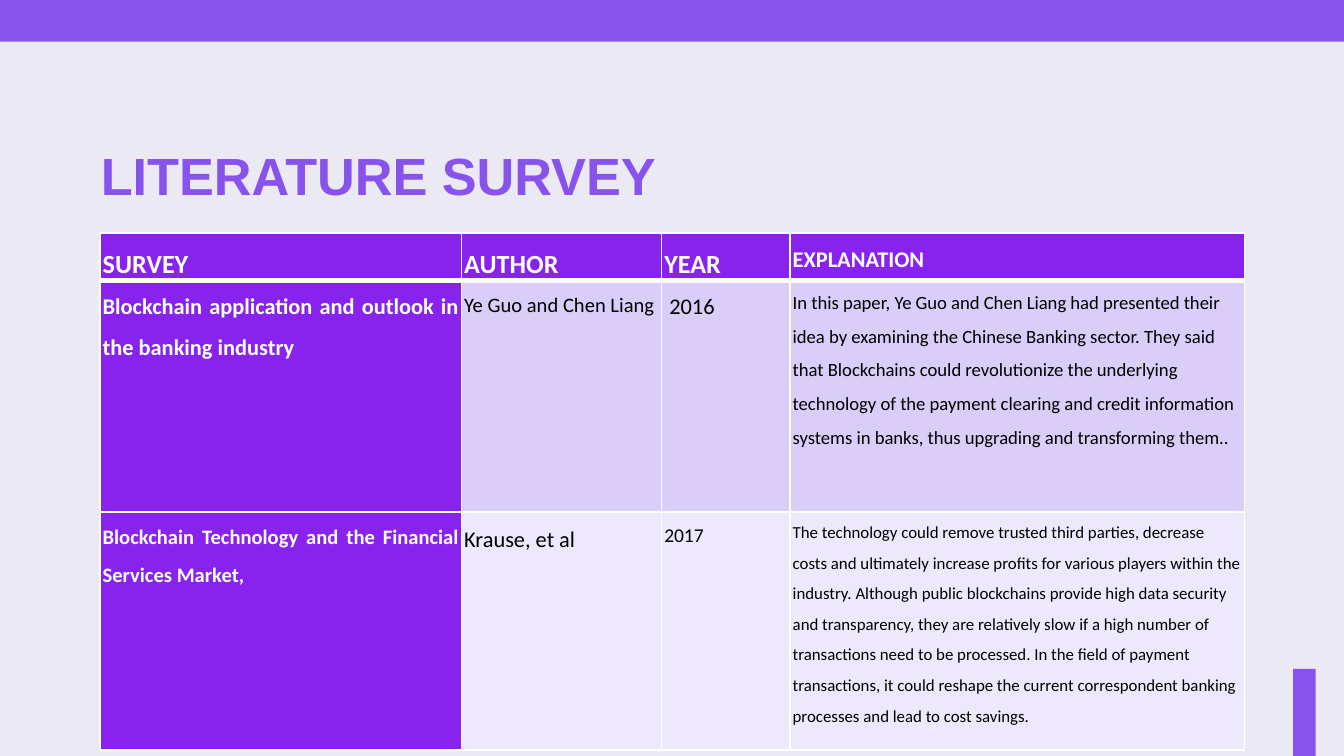
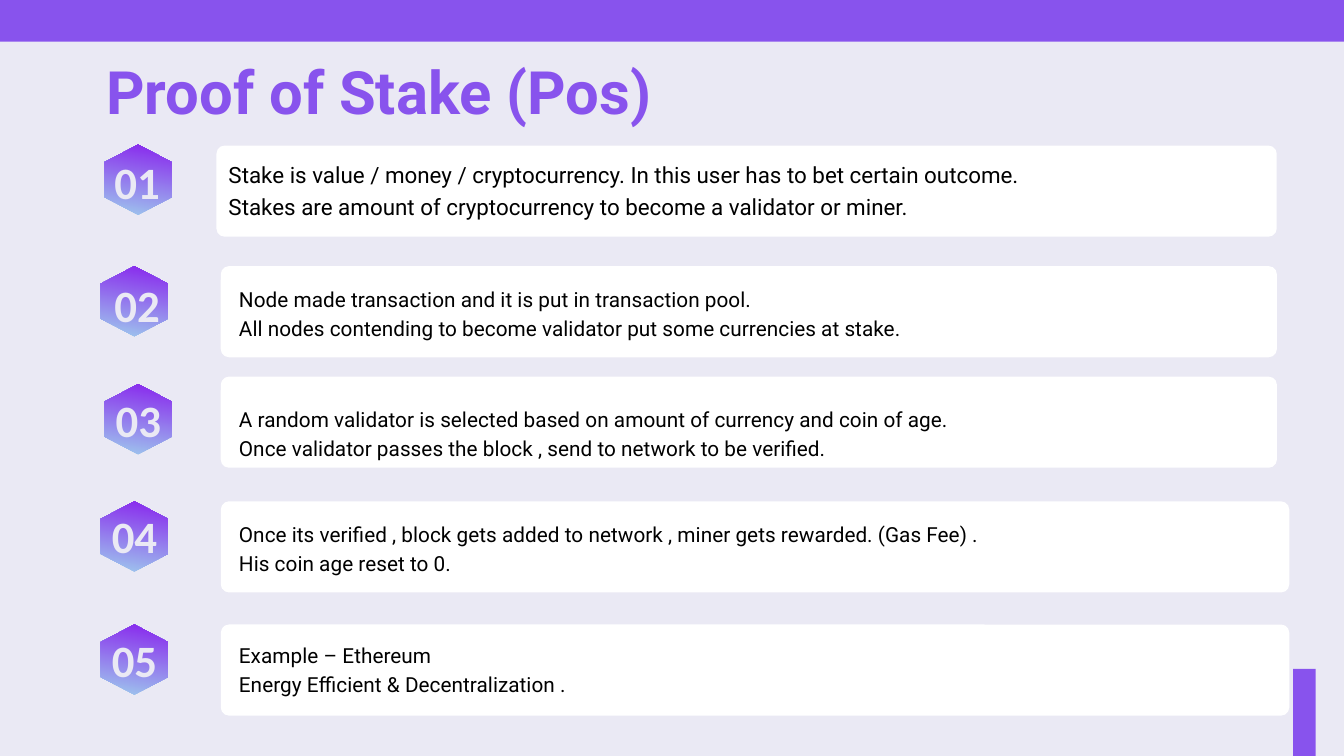
from dataclasses import dataclass

from lxml.etree import SubElement
from pptx import Presentation
from pptx.dml.color import RGBColor
from pptx.enum.shapes import MSO_SHAPE as Preset
from pptx.enum.text import MSO_ANCHOR as Anchor, PP_ALIGN as Align
from pptx.oxml.ns import qn
from pptx.util import Pt

COLORS = {
    "page": "EAE9F4",
    "accent": "8853ED",
    "violet": "8823ED",
    "sky": "9ECAED",
    "white": "FFFFFF",
    "black": "000000",
    "lilac": "DACDF8",
    "mist": "EDE8FC",
}


@dataclass(frozen=True)
class Entry:
    text: str
    size: float
    fill: str
    color: str = "black"
    bold: bool = False
    align: Align = Align.JUSTIFY
    indent: float = 0


@dataclass(frozen=True)
class Step:
    label: str
    card: tuple[float, float, float]
    badge: tuple[float, float]
    label_at: tuple[float, float]
    text_at: tuple[float, float]
    lines: tuple[str, str]
    size: float = 11.1


def header(text: str, size: float = 14) -> Entry:
    return Entry(text, size, "violet", "white", True)


def survey(text: str, size: float) -> Entry:
    return Entry(text, size, "violet", "white", True)


COLUMN_WIDTHS = (193.7, 107.2, 68.8, 243.4)
ROW_HEIGHTS = (25.2, 124.4, 127.4)
SURVEY_ROWS = (
    (header("SURVEY"), header("AUTHOR"), header("YEAR"), header("EXPLANATION", 12)),
    (
        survey("Blockchain application and outlook in the banking industry", 12),
        Entry("Ye Guo and Chen Liang", 11, "lilac"),
        Entry("2016", 12, "lilac", indent=2.7),
        Entry(
            "In this paper, Ye Guo and Chen Liang had presented their idea by "
            "examining the Chinese Banking sector. They said that Blockchains could "
            "revolutionize the underlying technology of the payment clearing and "
            "credit information systems in banks, thus upgrading and transforming "
            "them..",
            10, "lilac", align=Align.LEFT,
        ),
    ),
    (
        survey("Blockchain Technology and the Financial Services Market,", 11),
        Entry("Krause, et al", 12, "mist"),
        Entry("2017", 10.5, "mist"),
        Entry(
            "The technology could remove trusted third parties, decrease costs and "
            "ultimately increase profits for various players within the industry. "
            "Although public blockchains provide high data security and "
            "transparency, they are relatively slow if a high number of transactions "
            "need to be processed. In the field of payment transactions, it could "
            "reshape the current correspondent banking processes and lead to cost "
            "savings.",
            9, "mist", align=Align.LEFT,
        ),
    ),
)

STEPS = (
    Step("01", (116, 78, 568), (56, 77.5), (57.6, 85), (122.4, 86.4),
         ("Stake is value / money / cryptocurrency. In this user has to bet certain outcome.",
          "Stakes are amount of cryptocurrency to become a validator or miner."), 12),
    Step("02", (118.3, 142.6, 565.8), (54, 142.6), (57.6, 151), (128, 153.4),
         ("Node made transaction and it is put in transaction pool.",
          "All nodes contending to become validator put some currencies at stake.")),
    Step("03", (118.3, 201.8, 565.8), (56, 205.8), (58.3, 212.4), (128, 217.8),
         ("A random validator is selected based on amount of currency and coin of age.",
          "Once validator passes the block , send to network to be verified.")),
    Step("04", (118.3, 268.6, 572.4), (54, 268.6), (56.2, 274.5), (128, 279.4),
         ("Once its verified , block gets added to network , miner gets rewarded. (Gas Fee) .",
          "His coin age reset to 0.")),
    Step("05", (118.3, 334.6, 572.4), (54, 334.6), (56.2, 341), (128, 344.2),
         ("Example – Ethereum",
          "Energy Efficient & Decentralization .")),
)
HEXAGON = ((36, 9.4), (18, 0), (0, 9.4), (0, 28.2), (18, 37.6), (36, 28.2))


def rgb(name: str) -> RGBColor:
    return RGBColor.from_string(COLORS[name])


def write(frame, *lines: str, size: float, font: str = "Calibri",
          color: str = "black", bold: bool = False, align: Align = Align.LEFT,
          spacing: float = 1, gap: float = 0) -> None:
    frame.word_wrap = True
    for index, line in enumerate(lines):
        paragraph = frame.add_paragraph() if index else frame.paragraphs[0]
        paragraph.alignment = align
        paragraph.line_spacing = spacing
        if index:
            paragraph.space_before = Pt(gap)
        run = paragraph.add_run()
        run.text = line
        run.font.name = font
        run.font.size = Pt(size)
        run.font.bold = bold
        run.font.color.rgb = rgb(color)


def add_text(slide, left: float, top: float, width: float, height: float,
             *lines: str, anchor: Anchor = Anchor.TOP, **text_format) -> None:
    frame = slide.shapes.add_textbox(Pt(left), Pt(top), Pt(width), Pt(height)).text_frame
    frame.margin_left = frame.margin_right = frame.margin_top = frame.margin_bottom = 0
    frame.vertical_anchor = anchor
    write(frame, *lines, **text_format)


def add_block(slide, left: float, top: float, width: float, height: float,
              color: str, preset: Preset = Preset.RECTANGLE):
    block = slide.shapes.add_shape(preset, Pt(left), Pt(top), Pt(width), Pt(height))
    block.shadow.inherit = False
    block.fill.solid()
    block.fill.fore_color.rgb = rgb(color)
    block.line.fill.background()
    return block


def add_page(deck, title: str, left: float, top: float, size: float, font: str):
    slide = deck.slides.add_slide(deck.slide_layouts[6])
    slide.background.fill.solid()
    slide.background.fill.fore_color.rgb = rgb("page")
    add_block(slide, 0, 0, 720, 22.4, "accent")
    add_block(slide, 692.8, 358.4, 12, 46.6, "accent")
    add_text(slide, left, top, 456, 37.4, title, anchor=Anchor.BOTTOM,
             size=size, font=font, color="accent", bold=True)
    return slide


def set_border(cell, side: str, width: float) -> None:
    properties = cell._tc.get_or_add_tcPr()
    line = SubElement(properties, qn(f"a:ln{side}"), w=str(Pt(width)))
    fill = SubElement(line, qn("a:solidFill"))
    SubElement(fill, qn("a:srgbClr"), val=COLORS["white"])


def fill_cell(cell, entry: Entry, row: int) -> None:
    borders = {"L": 1, "R": 1, "T": 3 if row == 1 else 1, "B": 3 if row == 0 else 1}
    for side, width in borders.items():
        set_border(cell, side, width)
    cell.fill.solid()
    cell.fill.fore_color.rgb = rgb(entry.fill)
    cell.margin_left = Pt(1.4 + entry.indent)
    cell.margin_right = Pt(1.4)
    cell.margin_top = cell.margin_bottom = 0
    write(cell.text_frame, entry.text, size=entry.size, color=entry.color,
          bold=entry.bold, align=entry.align, spacing=1.5)


def add_survey_table(slide) -> None:
    table = slide.shapes.add_table(
        len(ROW_HEIGHTS), len(COLUMN_WIDTHS), Pt(53.6), Pt(124.8),
        Pt(sum(COLUMN_WIDTHS)), Pt(sum(ROW_HEIGHTS))).table
    table.first_row = table.horz_banding = False
    for column, width in zip(table.columns, COLUMN_WIDTHS):
        column.width = Pt(width)
    for row, (height, entries) in enumerate(zip(ROW_HEIGHTS, SURVEY_ROWS)):
        table.rows[row].height = Pt(height)
        for column, entry in enumerate(entries):
            fill_cell(table.cell(row, column), entry, row)


def add_badge(slide, left: float, top: float) -> None:
    corners = [(Pt(left + x), Pt(top + y)) for x, y in HEXAGON]
    builder = slide.shapes.build_freeform(*corners[0])
    builder.add_line_segments(corners[1:], close=True)
    badge = builder.convert_to_shape()
    badge.shadow.inherit = False
    badge.line.fill.background()
    badge.fill.gradient()
    badge.fill.gradient_angle = 80
    for stop, color in zip(badge.fill.gradient_stops, ("sky", "violet")):
        stop.color.rgb = rgb(color)


def add_step(slide, step: Step) -> None:
    left, top, width = step.card
    card = add_block(slide, left, top, width, 48.8, "white", Preset.ROUNDED_RECTANGLE)
    card.adjustments[0] = 0.09
    add_badge(slide, *step.badge)
    add_text(slide, *step.label_at, 31.7, 24.5, step.label, anchor=Anchor.MIDDLE,
             size=24, color="page", bold=True, align=Align.CENTER)
    add_text(slide, *step.text_at, 550, 30, *step.lines,
             size=step.size, font="Roboto", gap=step.size * 0.23)


def main() -> None:
    deck = Presentation()
    deck.slide_width, deck.slide_height = Pt(720), Pt(405)
    add_survey_table(add_page(deck, "LITERATURE SURVEY", 54, 72.7, 28, "Arial"))
    stake = add_page(deck, "Proof of Stake (Pos)", 56.9, 30.2, 32, "Roboto")
    for step in STEPS:
        add_step(stake, step)
    deck.save("out.pptx")


if __name__ == "__main__":
    main()
